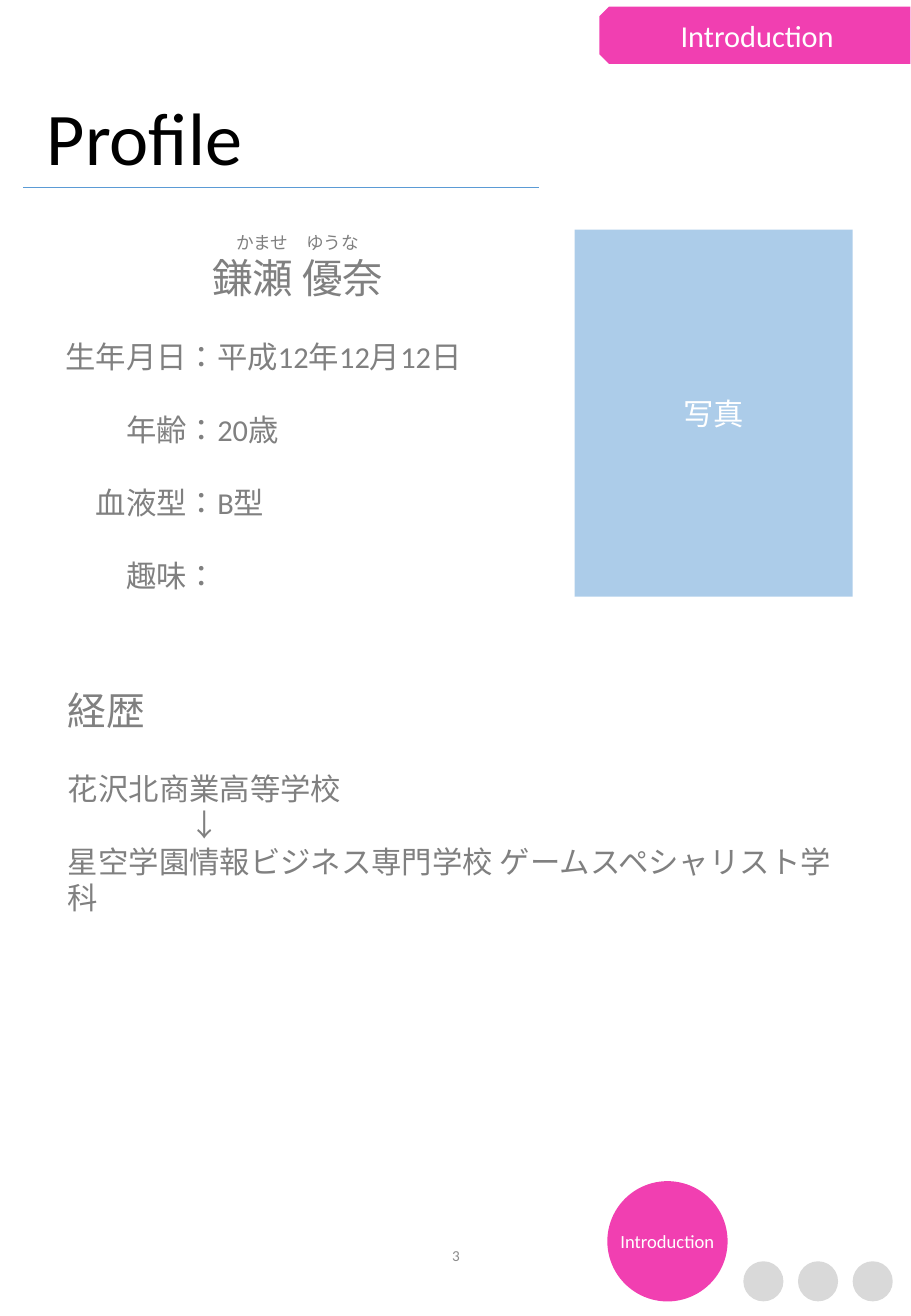
"""Build the profile page with its section tab, photo area and career history."""
import pptx
import pptx.dml.color
import pptx.enum.lang
import pptx.enum.shapes
import pptx.enum.text
import pptx.oxml
import pptx.oxml.ns
import pptx.util

Inches = pptx.util.Inches
Pt = pptx.util.Pt
RGBColor = pptx.dml.color.RGBColor
SHAPE = pptx.enum.shapes.MSO_SHAPE
ALIGN = pptx.enum.text.PP_ALIGN
ANCHOR = pptx.enum.text.MSO_ANCHOR

PINK = RGBColor(0xF1, 0x3F, 0xB1)
BLUE = RGBColor(0x5B, 0x9B, 0xD5)
LIGHT_GRAY = RGBColor(0xD9, 0xD9, 0xD9)
TEXT_GRAY = RGBColor(0x80, 0x80, 0x80)
NUMBER_GRAY = RGBColor(0x8C, 0x8C, 0x8C)
WHITE = RGBColor(0xFF, 0xFF, 0xFF)
BLACK = RGBColor(0, 0, 0)
LATIN = "Calibri"
JAPANESE = "Noto Sans CJK JP"

SECTION = "Introduction"
NAME_LINES = [("かませ\u3000ゆうな", 10.5), ("鎌瀬 優奈", 24)]
FACTS = [("生年月日", "平成12年12月12日"), ("年齢", "20歳"), ("血液型", "B型"), ("趣味", "")]
CAREER = [
    ("経歴", 23, JAPANESE, 0, 0),
    ("花沢北商業高等学校", 18, "Arial", 21.6, 0),
    ("↓", 18, JAPANESE, 0, 1),
    ("星空学園情報ビジネス専門学校 ゲームスペシャリスト学科", 18, JAPANESE, 0, 0),
]
BODY_SIZE = 18
BLANK_LINE = 21.6
LABEL_COLUMN = 5
DOT_COUNT, DOT_LEFT, DOT_STEP = 3, 6.12, 0.45


def write(shape, lines, color, align=ALIGN.CENTER, anchor=ANCHOR.MIDDLE, wrap=True):
    """Fill a shape with (text, size, font, gap before, indent) lines."""
    frame = shape.text_frame
    frame.word_wrap = wrap
    frame.vertical_anchor = anchor
    for index, (text, size, font, gap, indent) in enumerate(lines):
        paragraph = frame.add_paragraph() if index else frame.paragraphs[0]
        paragraph.text = text
        paragraph.alignment = align
        paragraph.space_before = Pt(gap)
        paragraph.font.size = Pt(size)
        paragraph.font.name = font
        paragraph.font.color.rgb = color
        if indent:
            paragraph._p.get_or_add_pPr().set("marL", str(Inches(indent)))
    return frame


def add_shape(slide, kind, box, fill):
    """Add a flat shape without outline."""
    shape = slide.shapes.add_shape(kind, *map(Inches, box))
    shape.shadow.inherit = False
    shape.fill.solid()
    shape.fill.fore_color.rgb = fill
    shape.line.fill.background()
    return shape


def add_text(slide, box):
    """Add an empty text box."""
    return slide.shapes.add_textbox(*map(Inches, box))


def add_profile(slide):
    """Add the name and the facts, with labels ending at one column."""
    profile = add_text(slide, (0.19, 1.7, 4.52, 3.39))
    lines = [(text, size, JAPANESE, 0, 0) for text, size in NAME_LINES]
    for label, value in FACTS:
        indent = (LABEL_COLUMN - len(label)) * BODY_SIZE / 72
        lines.append((f"{label}：{value}", BODY_SIZE, LATIN, BLANK_LINE, indent))
    frame = write(profile, lines, TEXT_GRAY, ALIGN.LEFT)
    for paragraph in frame.paragraphs[:len(NAME_LINES)]:
        paragraph.alignment = ALIGN.CENTER
    for paragraph in frame.paragraphs:
        paragraph.runs[0].font.language_id = pptx.enum.lang.MSO_LANGUAGE_ID.JAPANESE


def add_photo_area(slide):
    """Add the half-transparent photo area."""
    photo = add_shape(slide, SHAPE.RECTANGLE, (4.73, 1.89, 2.29, 3.02), BLUE)
    color = photo._element.spPr.find(".//" + pptx.oxml.ns.qn("a:srgbClr"))
    alpha = pptx.oxml.parse_xml(f'<a:alpha {pptx.oxml.ns.nsdecls("a")} val="50000"/>')
    color.append(alpha)
    write(photo, [("写真", 18, LATIN, 0, 0)], WHITE)


def add_heading(slide):
    """Add the title, its rule and the section tab."""
    title = add_text(slide, (-0.25, 0.68, 2.88, 0.86))
    frame = write(title, [("Profile", 44, LATIN, 0, 0)], BLACK, anchor=ANCHOR.BOTTOM)
    frame.paragraphs[0].line_spacing = 0.9
    rule = slide.shapes.add_connector(
        pptx.enum.shapes.MSO_CONNECTOR.STRAIGHT, *map(Inches, (0.19, 1.54, 4.44, 1.54)))
    rule.line.color.rgb = BLUE
    rule.line.width = Pt(0.5)
    rule._element.spPr.append(
        pptx.oxml.parse_xml(f'<a:effectLst {pptx.oxml.ns.nsdecls("a")}/>'))
    tab = add_shape(slide, SHAPE.SNIP_2_SAME_RECTANGLE, (5.98, -0.99, 0.47, 2.56), PINK)
    tab.rotation = 270
    frame = write(tab, [(SECTION, 18, LATIN, 0, 0)], WHITE)
    frame._txBody.bodyPr.set("vert", "vert")


def add_footer(slide):
    """Add the section circle, the dots and the page number."""
    circle = add_shape(slide, SHAPE.OVAL, (5, 9.72, 0.99, 0.99), PINK)
    write(circle, [(SECTION, 11, LATIN, 0, 0)], WHITE, wrap=False)
    for index in range(DOT_COUNT):
        left = DOT_LEFT + index * DOT_STEP
        add_shape(slide, SHAPE.OVAL, (left, 10.38, 0.33, 0.33), LIGHT_GRAY)
    number = add_text(slide, (2.91, 10.04, 1.69, 0.58))
    write(number, [("3", 9, LATIN, 0, 0)], NUMBER_GRAY)


def main():
    """Assemble and save the page."""
    presentation = pptx.Presentation()
    presentation.slide_width = Inches(7.5)
    presentation.slide_height = Inches(10.83)
    slide = presentation.slides.add_slide(presentation.slide_layouts[6])
    add_profile(slide)
    add_photo_area(slide)
    career = add_shape(
        slide, SHAPE.ROUND_2_DIAG_RECTANGLE, (0.36, 5.56, 6.81, 2.07), WHITE)
    write(career, CAREER, TEXT_GRAY, ALIGN.LEFT)
    add_heading(slide)
    add_footer(slide)
    presentation.save("out.pptx")


if __name__ == "__main__":
    main()
